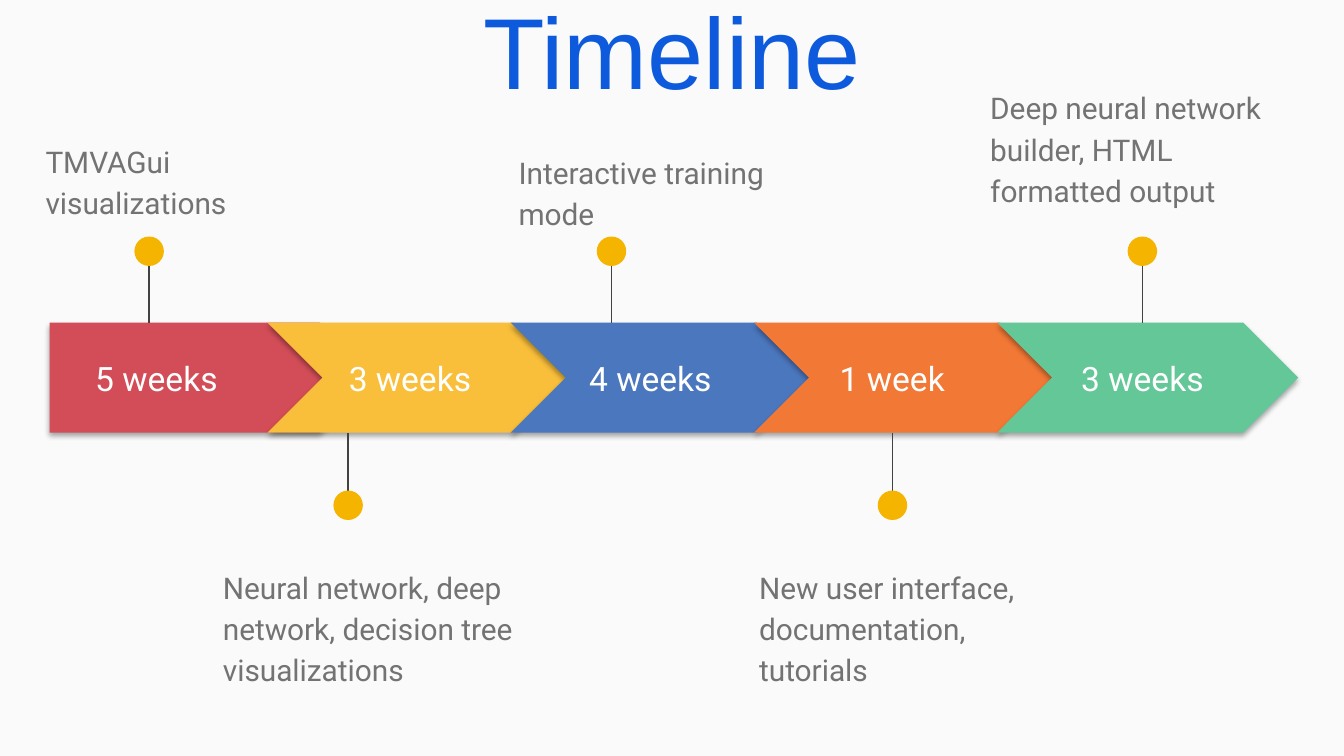
"""Build a project timeline slide with five chevron phases and pinned notes."""
from lxml.etree import SubElement
from pptx import Presentation
from pptx.dml.color import RGBColor
from pptx.enum.shapes import MSO_CONNECTOR, MSO_SHAPE
from pptx.enum.text import MSO_ANCHOR, MSO_AUTO_SIZE, PP_ALIGN
from pptx.oxml.ns import qn
from pptx.util import Pt

BAR_TOP, BAR_HEIGHT = 172.8, 59
BAR_LEFT, CHEVRON_LEFT, CHEVRON_PITCH = 26.6, 143.3, 130.3
PLATE_WIDTH, CHEVRON_WIDTH = 174.2, 161.3
LABEL_TOP, LABEL_HEIGHT = 184.3, 36.7
DOT = 15.8
DOT_CENTER_ABOVE, DOT_CENTER_BELOW = 134.6, 270.7
NOTE_WIDTH = 176.4

PHASES = [
    ("5 weeks", "D34D58", (26.6, 114.5), 79.9, True,
     "TMVAGui visualizations", (17.3, 67, 56.9)),
    ("3 weeks", "F9BF3A", (167.8, 103.7), 186.5, False,
     "Neural network, deep network, decision tree visualizations", (112.3, 295.2, 71.3)),
    ("4 weeks", "4B77BE", (296.6, 103.7), 327.6, True,
     "Interactive training mode", (270.7, 72.7, 47.5)),
    ("1 week", "F27835", (426.2, 103.7), 478.1, False,
     "New user interface, documentation, tutorials", (399.6, 295.2, 71.3)),
    ("3 weeks", "64C798", (560.2, 103.7), 612, True,
     "Deep neural network builder, HTML formatted output", (523.4, 38.2, 71.3)),
]


def color(value):
    return RGBColor.from_string(value)


class TimelineSlide:
    font = "Roboto"
    white, grey, blue = "FFFFFF", "737373", "0D5BDC"
    pin, stem = "F4B400", "424242"

    def __init__(self, prs):
        self.s = prs.slides.add_slide(prs.slide_layouts[5])
        self.s.background.fill.solid()
        self.s.background.fill.fore_color.rgb = color("FAFAFA")

    def style(self, p, size, fill, name):
        p.font.size = Pt(size)
        p.font.name = name
        p.font.color.rgb = color(fill)

    def title(self, text, x, y, w, h):
        sp = self.s.shapes.title
        sp.left, sp.top, sp.width, sp.height = Pt(x), Pt(y), Pt(w), Pt(h)
        tf = sp.text_frame
        tf.text = text
        tf.auto_size = MSO_AUTO_SIZE.NONE
        tf.vertical_anchor = MSO_ANCHOR.TOP
        p = tf.paragraphs[0]
        p.alignment = PP_ALIGN.LEFT
        self.style(p, 54, self.blue, "Arial")

    def shape(self, kind, x, y, w, h, fill):
        sp = self.s.shapes.add_shape(kind, Pt(x), Pt(y), Pt(w), Pt(h))
        sp.shadow.inherit = False
        sp.fill.solid()
        sp.fill.fore_color.rgb = color(fill)
        sp.line.fill.background()
        return sp

    def arrow(self, kind, x, w, fill):
        sp = self.shape(kind, x, BAR_TOP, w, BAR_HEIGHT, fill)
        sp.adjustments[0] = 0.5
        effects = sp._element.spPr.find(qn("a:effectLst"))
        shadow = SubElement(effects, qn("a:outerShdw"), blurRad=str(Pt(3.1)),
                            dist=str(Pt(1.8)), dir="5400000", rotWithShape="0")
        black = SubElement(shadow, qn("a:srgbClr"), val="000000")
        SubElement(black, qn("a:alpha"), val="35000")

    def text(self, text, x, y, w, h, size, fill):
        tf = self.s.shapes.add_textbox(Pt(x), Pt(y), Pt(w), Pt(h)).text_frame
        tf.word_wrap = True
        tf.margin_left = tf.margin_right = tf.margin_top = tf.margin_bottom = Pt(7.2)
        tf.text = text
        p = tf.paragraphs[0]
        self.style(p, size, fill, self.font)
        return tf, p

    def label(self, text, x, w):
        tf, p = self.text(text, x, LABEL_TOP, w, LABEL_HEIGHT, 18, self.white)
        tf.vertical_anchor = MSO_ANCHOR.MIDDLE
        p.alignment = PP_ALIGN.CENTER

    def note(self, text, x, y, h):
        _, p = self.text(text, x, y, NOTE_WIDTH, h, 16, self.grey)
        p.line_spacing = 1.15
        p.space_after = Pt(16)

    def marker(self, x, above):
        center = DOT_CENTER_ABOVE if above else DOT_CENTER_BELOW
        edge = BAR_TOP if above else BAR_TOP + BAR_HEIGHT
        line = self.s.shapes.add_connector(
            MSO_CONNECTOR.STRAIGHT, Pt(x), Pt(center), Pt(x), Pt(edge))
        line.line.color.rgb = color(self.stem)
        line.line.width = Pt(0.75)
        SubElement(line._element.spPr, qn("a:effectLst"))
        self.shape(MSO_SHAPE.OVAL, x - DOT / 2, center - DOT / 2, DOT, DOT, self.pin)


def main():
    prs = Presentation()
    prs.slide_width, prs.slide_height = Pt(720), Pt(405)
    s = TimelineSlide(prs)
    s.title("Timeline", 252, -9.4, 232.6, 72.7)
    for i, (label, fill, label_box, pin_x, above, note, note_box) in enumerate(PHASES):
        if i == 0:
            s.arrow(MSO_SHAPE.PENTAGON, BAR_LEFT, PLATE_WIDTH, fill)
        else:
            s.arrow(MSO_SHAPE.CHEVRON, CHEVRON_LEFT + (i - 1) * CHEVRON_PITCH,
                    CHEVRON_WIDTH, fill)
        s.label(label, *label_box)
        s.marker(pin_x, above)
        s.note(note, *note_box)
    prs.save("out.pptx")


if __name__ == "__main__":
    main()
